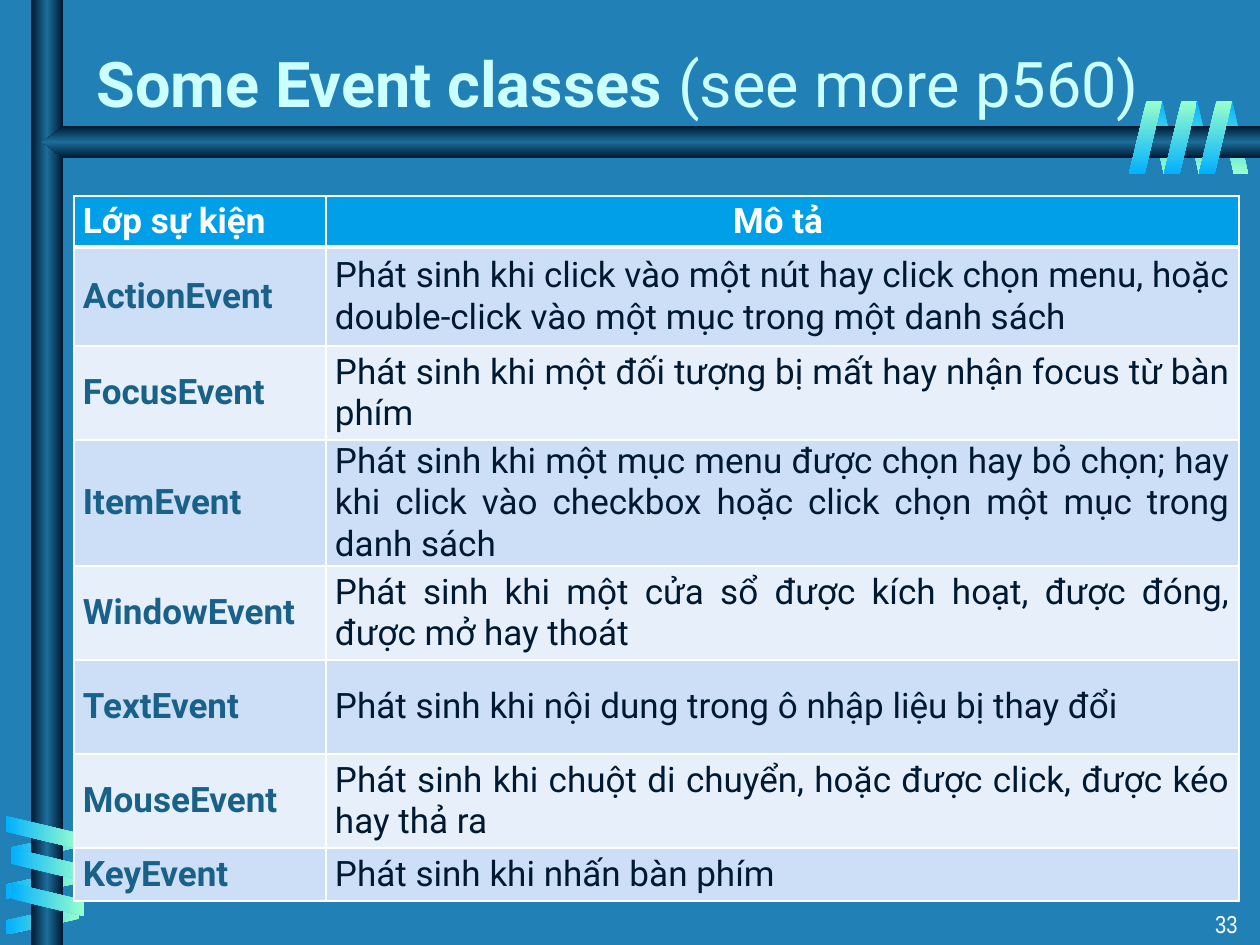
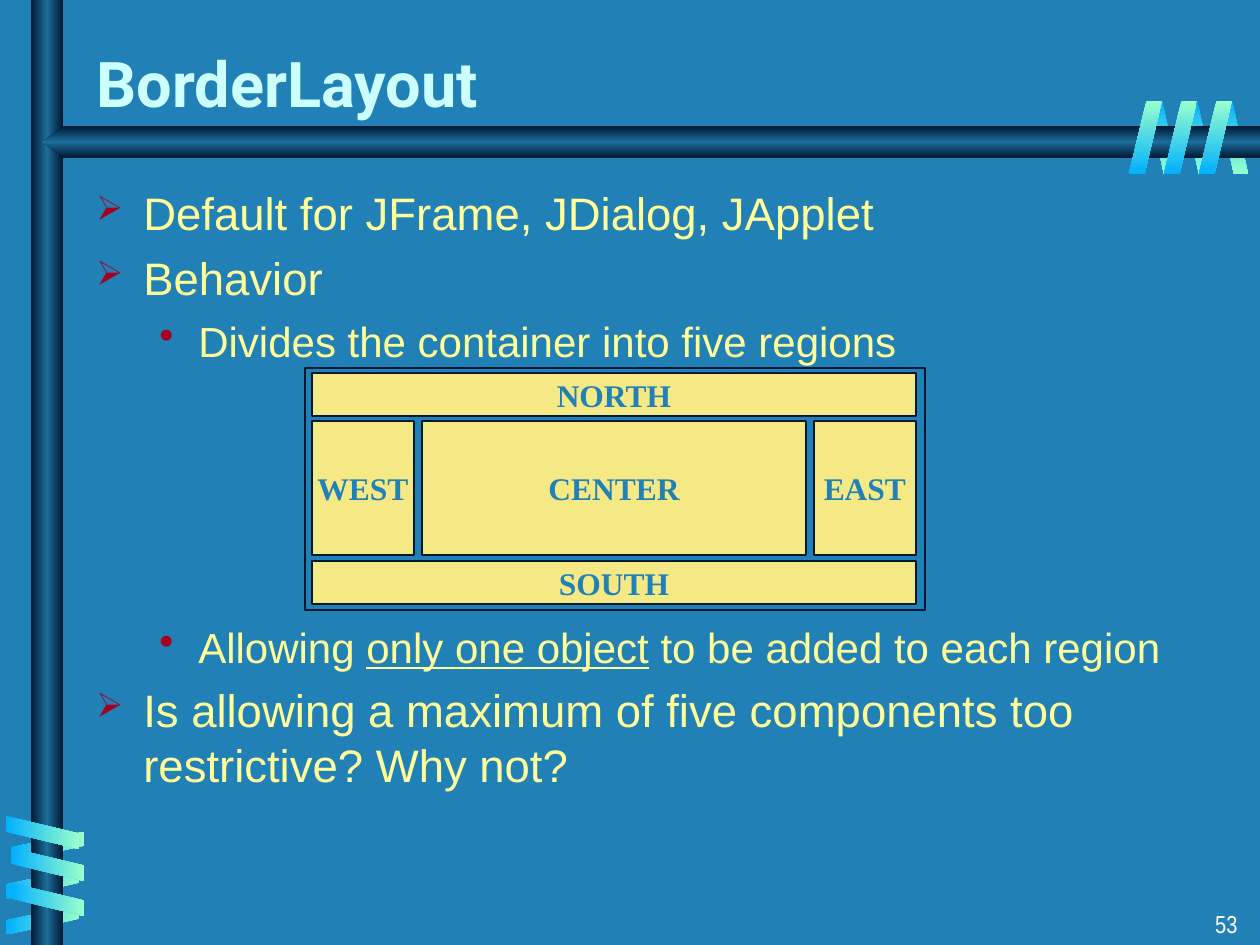
import pptx
import pptx.util
import pptx.oxml
import pptx.oxml.ns
from pptx.dml.color import RGBColor
from pptx.enum.shapes import MSO_SHAPE
from pptx.enum.text import MSO_ANCHOR, PP_ALIGN

PX = 914400 / 126

BLUE = RGBColor(0x21, 0x81, 0xB7)
NAVY = RGBColor(0x00, 0x19, 0x32)
STEEL = RGBColor(0x1C, 0x6D, 0x9A)
SKY = RGBColor(0x01, 0xB0, 0xFF)
MINT = RGBColor(0x99, 0xFF, 0xCC)
TITLE_CYAN = RGBColor(0xCC, 0xFF, 0xFF)
WHITE = RGBColor(0xFF, 0xFF, 0xFF)
BODY_YELLOW = RGBColor(0xFF, 0xFF, 0x99)
REGION_YELLOW = RGBColor(0xF5, 0xE9, 0x85)
BULLET_RED = RGBColor(0xA5, 0x00, 0x21)
HEADER_BLUE = RGBColor(0x01, 0x9F, 0xE7)
CLASS_BLUE = RGBColor(0x19, 0x61, 0x89)
ROW_FILLS = (RGBColor(0xE7, 0xF0, 0xFA), RGBColor(0xCC, 0xDF, 0xF6))

BAR_COLOURS = (NAVY, STEEL, NAVY)

EVENT_ROWS = [
    ("Lớp sự kiện", "Mô tả "),
    ("ActionEvent", "Phát sinh khi click vào một nút hay click chọn menu, hoặc double-click vào một mục trong một danh sách"),
    ("FocusEvent", "Phát sinh khi một đối tượng bị mất hay nhận focus từ bàn phím"),
    ("ItemEvent", "Phát sinh khi một mục menu được chọn hay bỏ chọn; hay khi click vào checkbox hoặc click chọn một mục trong danh sách"),
    ("WindowEvent", "Phát sinh khi một cửa sổ được kích hoạt, được đóng, được mở hay thoát"),
    ("TextEvent", "Phát sinh khi nội dung trong ô nhập liệu bị thay đổi"),
    ("MouseEvent", "Phát sinh khi chuột di chuyển, hoặc được click, được kéo hay thả ra"),
    ("KeyEvent", "Phát sinh khi nhấn bàn phím"),
]
ROW_HEIGHTS = (51, 99, 94, 123, 94, 94, 94, 53)
COLUMN_WIDTHS = (252, 913)

LAYOUT_POINTS = [
    (0, 6, ["Default for JFrame, JDialog, JApplet"]),
    (0, 6, ["Behavior"]),
    (1, 6, ["Divides the container into five regions"]),
    (1, 146, ["Allowing ", "only one object", " to be added to each region"]),
    (0, 6, ["Is allowing a maximum of five components too restrictive? Why not?"]),
]
BULLET_LEVELS = [
    {"char": "➢", "scale": 75, "margin": 47, "hang": 47, "size": 26},
    {"char": "•", "scale": 100, "margin": 102, "hang": 39, "size": 24},
]

REGIONS = [
    ("NORTH", 312, 373, 604, 43),
    ("SOUTH", 312, 561, 604, 43),
    ("CENTER", 422, 421, 384, 134),
    ("EAST", 814, 421, 102, 134),
    ("WEST", 312, 421, 102, 134),
]


def emu(*lengths):
    return [pptx.util.Emu(round(length * PX)) for length in lengths]


def make_xml(tag, content="", attributes=""):
    return pptx.oxml.parse_xml(
        f'<a:{tag} {pptx.oxml.ns.nsdecls("a")} {attributes}>{content}</a:{tag}>')


def colour_xml(colour):
    return f'<a:srgbClr val="{colour}"/>'


def set_font(font, name, size, colour, bold=False):
    font.name = name
    font.size = pptx.util.Pt(size)
    font.color.rgb = colour
    font.bold = bold


def add_shape(page, kind, left, top, width, height):
    shape = page.shapes.add_shape(kind, *emu(left, top, width, height))
    shape.shadow.inherit = False
    return shape


def add_gradient_shape(page, kind, bounds, colours, angle, adjust=None, turn=0, flip=False):
    shape = add_shape(page, kind, *bounds)
    shape.line.fill.background()
    shape.rotation = turn
    if adjust is not None:
        shape.adjustments[0] = adjust
    properties = shape.element.spPr
    if flip:
        properties.xfrm.set("flipH", "1")
    last = len(colours) - 1
    stops = "".join(f'<a:gs pos="{100000 * index // last}">{colour_xml(colour)}</a:gs>'
                    for index, colour in enumerate(colours))
    content = f'<a:gsLst>{stops}</a:gsLst><a:lin ang="{angle * 60000}" scaled="0"/>'
    properties.insert(2, make_xml("gradFill", content, 'rotWithShape="0"'))


def add_coil(page, places, width, colours, angle, turn=0, flip=False):
    for left, top in places:
        add_gradient_shape(page, MSO_SHAPE.PARALLELOGRAM, (left, top, width, 73),
                           colours, angle, 0.53, turn, flip)


def add_frame(page):
    add_coil(page, [(1148 + 35 * turn, 101) for turn in range(3)], 30, (SKY, MINT), 90, 180, True)
    add_coil(page, [(33, 810), (28, 847), (28, 883)], 30, (MINT, SKY), 0, 90, True)
    add_gradient_shape(page, MSO_SHAPE.RECTANGLE, (31, 0, 32, 945), BAR_COLOURS, 0)
    add_gradient_shape(page, MSO_SHAPE.PENTAGON, (42, 126, 1218, 32), BAR_COLOURS, 90, 0.678, flip=True)
    add_coil(page, [(26, 796), (31, 828), (31, 863)], 33, (SKY, MINT), 0, 270)
    add_coil(page, [(1129 + 35 * turn, 101) for turn in range(3)], 33, (MINT, SKY), 90)


def add_title(page, text, aside=""):
    title = page.shapes.title
    title.left, title.top, title.width, title.height = emu(84, 32, 1155, 94)
    title.text_frame.vertical_anchor = MSO_ANCHOR.BOTTOM
    para = title.text_frame.paragraphs[0]
    para.alignment = PP_ALIGN.LEFT
    set_font(para.font, "Roboto", 36, TITLE_CYAN, True)
    para.add_run().text = text
    if aside:
        span = para.add_run()
        span.text = aside
        span.font.bold = False
    title.element.getparent().append(title.element)


def add_page_number(page, number):
    box = page.shapes.add_textbox(*emu(1176, 903, 74, 32))
    box.text_frame.word_wrap = True
    para = box.text_frame.paragraphs[0]
    para.text = str(number)
    para.alignment = PP_ALIGN.RIGHT
    set_font(para.font, "Arial Narrow", 14, WHITE)


def add_page(deck, number, title, aside=""):
    page = deck.slides.add_slide(deck.slide_layouts[5])
    add_frame(page)
    add_title(page, title, aside)
    add_page_number(page, number)
    return page


def set_borders(cell, top, bottom):
    properties = cell._tc.get_or_add_tcPr()
    fill = f"<a:solidFill>{colour_xml(WHITE)}</a:solidFill>"
    sides = (("lnL", 1), ("lnR", 1), ("lnT", top), ("lnB", bottom))
    for index, (tag, width) in enumerate(sides):
        properties.insert(index, make_xml(tag, fill, f'w="{width * 12700}"'))


def fill_cell(cell, text, row, column):
    header = row == 0
    cell.fill.solid()
    cell.fill.fore_color.rgb = HEADER_BLUE if header else ROW_FILLS[row % 2]
    cell.vertical_anchor = MSO_ANCHOR.MIDDLE
    cell.margin_left, cell.margin_top, cell.margin_right, cell.margin_bottom = emu(9, 0, 9, 0)
    set_borders(cell, top=3 if row == 1 else 1, bottom=3 if header else 1)
    para = cell.text_frame.paragraphs[0]
    para.text = text
    if header:
        para.alignment = (PP_ALIGN.LEFT, PP_ALIGN.CENTER)[column]
    else:
        para.alignment = PP_ALIGN.JUSTIFY
    colour = WHITE if header else (CLASS_BLUE, NAVY)[column]
    set_font(para.font, "Roboto", 20, colour, header or column == 0)


def add_event_table(page):
    bounds = emu(74, 196, sum(COLUMN_WIDTHS), sum(ROW_HEIGHTS))
    table = page.shapes.add_table(len(EVENT_ROWS), len(COLUMN_WIDTHS), *bounds).table
    for column, width in zip(table.columns, emu(*COLUMN_WIDTHS)):
        column.width = width
    for row, height in zip(table.rows, emu(*ROW_HEIGHTS)):
        row.height = height
    for row, texts in enumerate(EVENT_ROWS):
        for column, text in enumerate(texts):
            fill_cell(table.cell(row, column), text, row, column)


def set_bullet(para, char, scale, margin, hang):
    properties = para._p.get_or_add_pPr()
    margin, hang = emu(margin, hang)
    properties.set("marL", str(margin))
    properties.set("indent", str(-hang))
    properties.append(make_xml("buClr", colour_xml(BULLET_RED)))
    properties.append(make_xml("buSzPct", attributes=f'val="{scale * 1000}"'))
    properties.append(make_xml("buChar", attributes=f'char="{char}"'))


def add_points(page):
    box = page.shapes.add_textbox(*emu(84, 179, 1144, 714))
    frame = box.text_frame
    frame.word_wrap = True
    for index, (level, space, texts) in enumerate(LAYOUT_POINTS):
        para = frame.add_paragraph() if index else frame.paragraphs[0]
        style = BULLET_LEVELS[level]
        para.level = level
        set_bullet(para, style["char"], style["scale"], style["margin"], style["hang"])
        para.space_before = pptx.util.Pt(space)
        set_font(para.font, "Arial", style["size"], BODY_YELLOW)
        for position, text in enumerate(texts):
            span = para.add_run()
            span.text = text
            if position == 1:
                span.font.underline = True


def add_region(page, bounds, fill, label=""):
    shape = add_shape(page, MSO_SHAPE.RECTANGLE, *bounds)
    shape.fill.solid()
    shape.fill.fore_color.rgb = fill
    shape.line.color.rgb = NAVY
    shape.line.width = pptx.util.Pt(1)
    if label:
        shape.text_frame.word_wrap = False
        shape.text_frame.vertical_anchor = MSO_ANCHOR.MIDDLE
        para = shape.text_frame.paragraphs[0]
        para.text = label
        para.alignment = PP_ALIGN.CENTER
        set_font(para.font, "Times New Roman", 18, BLUE, True)


def main():
    deck = pptx.Presentation()
    deck.slide_width, deck.slide_height = emu(1260, 945)
    background = deck.slide_master.background.fill
    background.solid()
    background.fore_color.rgb = BLUE

    events = add_page(deck, 33, "Some Event classes ", "(see more p560)")
    add_event_table(events)

    layout = add_page(deck, 53, "BorderLayout")
    add_points(layout)
    add_region(layout, (305, 368, 620, 242), BLUE)
    for label, *bounds in REGIONS:
        add_region(layout, bounds, REGION_YELLOW, label)

    deck.save("out.pptx")


if __name__ == "__main__":
    main()
